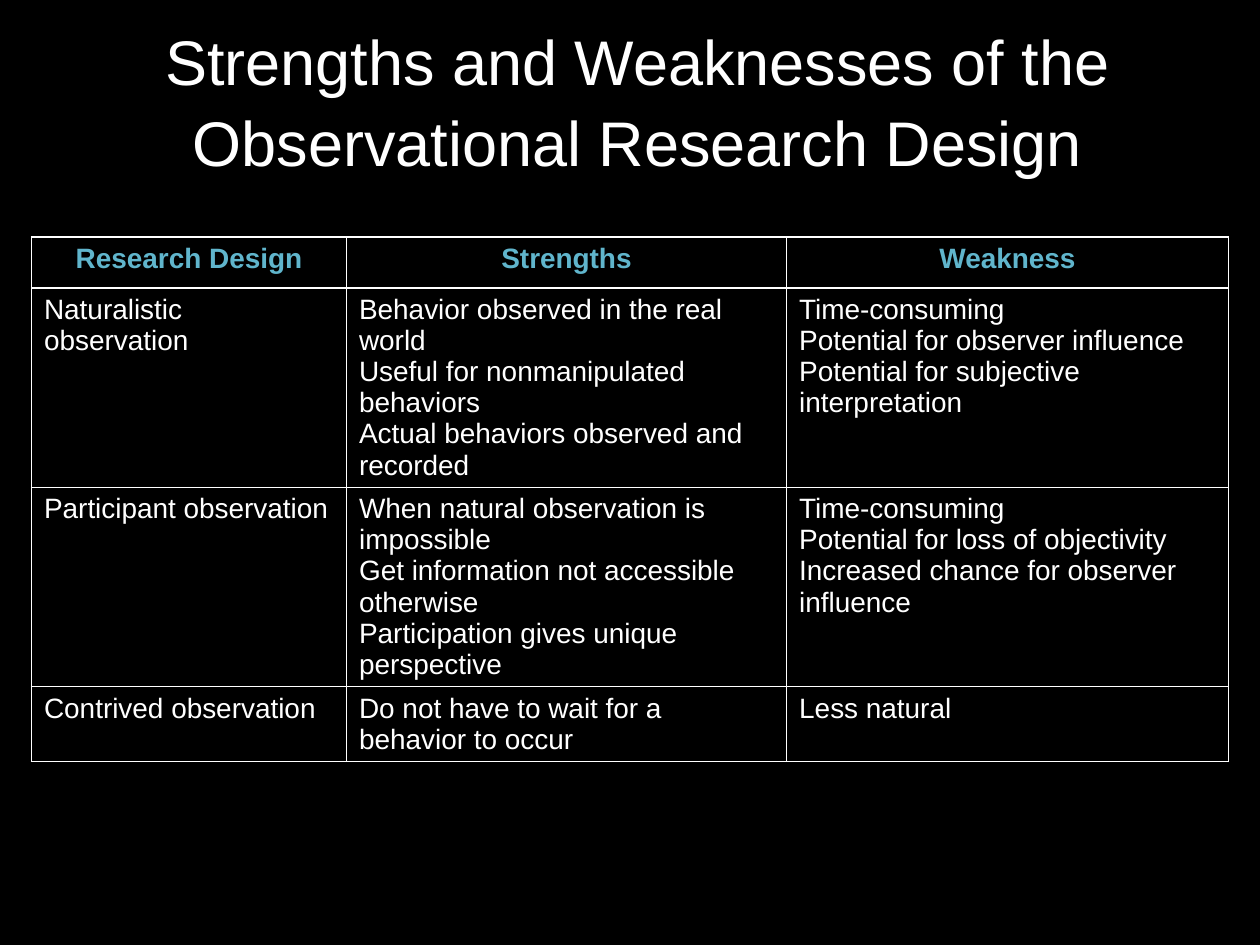
"""Build a slide with a table of strengths and weaknesses of observational designs."""
from lxml.etree import SubElement
from pptx import Presentation
from pptx.dml.color import RGBColor
from pptx.enum.text import MSO_ANCHOR, MSO_AUTO_SIZE, PP_ALIGN
from pptx.oxml.ns import qn
from pptx.util import Pt

COLORS = {"background": "000000", "text": "FFFFFF", "heading": "60B5CC", "border": "FFFFFF"}
FORMATS = {
    "title": {"name": "Arial", "size": Pt(36), "bold": False},
    "heading": {"name": "Arial", "size": Pt(16), "bold": True},
    "text": {"name": "Arial", "size": Pt(16), "bold": False},
}
ROWS = [
    ["Research Design", "Strengths", "Weakness"],
    [
        "Naturalistic observation",
        "Behavior observed in the real world\n"
        "Useful for nonmanipulated behaviors\n"
        "Actual behaviors observed and recorded",
        "Time-consuming\n"
        "Potential for observer influence\n"
        "Potential for subjective interpretation",
    ],
    [
        "Participant observation",
        "When natural observation is impossible\n"
        "Get information not accessible otherwise\n"
        "Participation gives unique perspective",
        "Time-consuming\n"
        "Potential for loss of objectivity\n"
        "Increased chance for observer influence",
    ],
    ["Contrived observation", "Do not have to wait for a behavior to occur", "Less natural"],
]
COLUMN_WIDTHS = [180, 251.5, 252.5]
ROW_HEIGHT = 29.3


def format_text(frame, style, color, alignment):
    for paragraph in frame.paragraphs:
        paragraph.alignment = alignment
        for run in paragraph.runs:
            for attribute, value in FORMATS[style].items():
                setattr(run.font, attribute, value)
            run.font.color.rgb = RGBColor.from_string(COLORS[color])


def add_borders(cell):
    properties = cell._tc.get_or_add_tcPr()
    for position, side in enumerate(("lnL", "lnR", "lnT", "lnB")):
        line = properties.makeelement(qn(f"a:{side}"), {"w": str(Pt(1))})
        fill = SubElement(line, qn("a:solidFill"))
        SubElement(fill, qn("a:srgbClr"), val=COLORS["border"])
        properties.insert(position, line)


presentation = Presentation()
presentation.slide_width, presentation.slide_height = Pt(720), Pt(540)
slide = presentation.slides.add_slide(presentation.slide_layouts[5])
slide.background.fill.solid()
slide.background.fill.fore_color.rgb = RGBColor.from_string(COLORS["background"])

title = slide.shapes.title
title.left, title.top, title.width, title.height = Pt(35.3), Pt(7.9), Pt(658), Pt(95.8)
title.text_frame.text = "Strengths and Weaknesses of the Observational Research Design"
title.text_frame.auto_size = MSO_AUTO_SIZE.NONE
title.text_frame.vertical_anchor = MSO_ANCHOR.MIDDLE
title.text_frame.paragraphs[0].line_spacing = 1.08
format_text(title.text_frame, "title", "text", PP_ALIGN.CENTER)

designs = slide.shapes.add_table(
    len(ROWS), len(COLUMN_WIDTHS), Pt(18), Pt(135.3),
    Pt(sum(COLUMN_WIDTHS)), Pt(ROW_HEIGHT * len(ROWS)),
).table
for column, width in zip(designs.columns, COLUMN_WIDTHS):
    column.width = Pt(width)

for row_index, row in enumerate(ROWS):
    style = "text" if row_index else "heading"
    alignment = PP_ALIGN.LEFT if row_index else PP_ALIGN.CENTER
    for column_index, wording in enumerate(row):
        cell = designs.cell(row_index, column_index)
        cell.text = wording
        cell.fill.solid()
        cell.fill.fore_color.rgb = RGBColor.from_string(COLORS["background"])
        format_text(cell.text_frame, style, style, alignment)
        add_borders(cell)

presentation.save("out.pptx")
